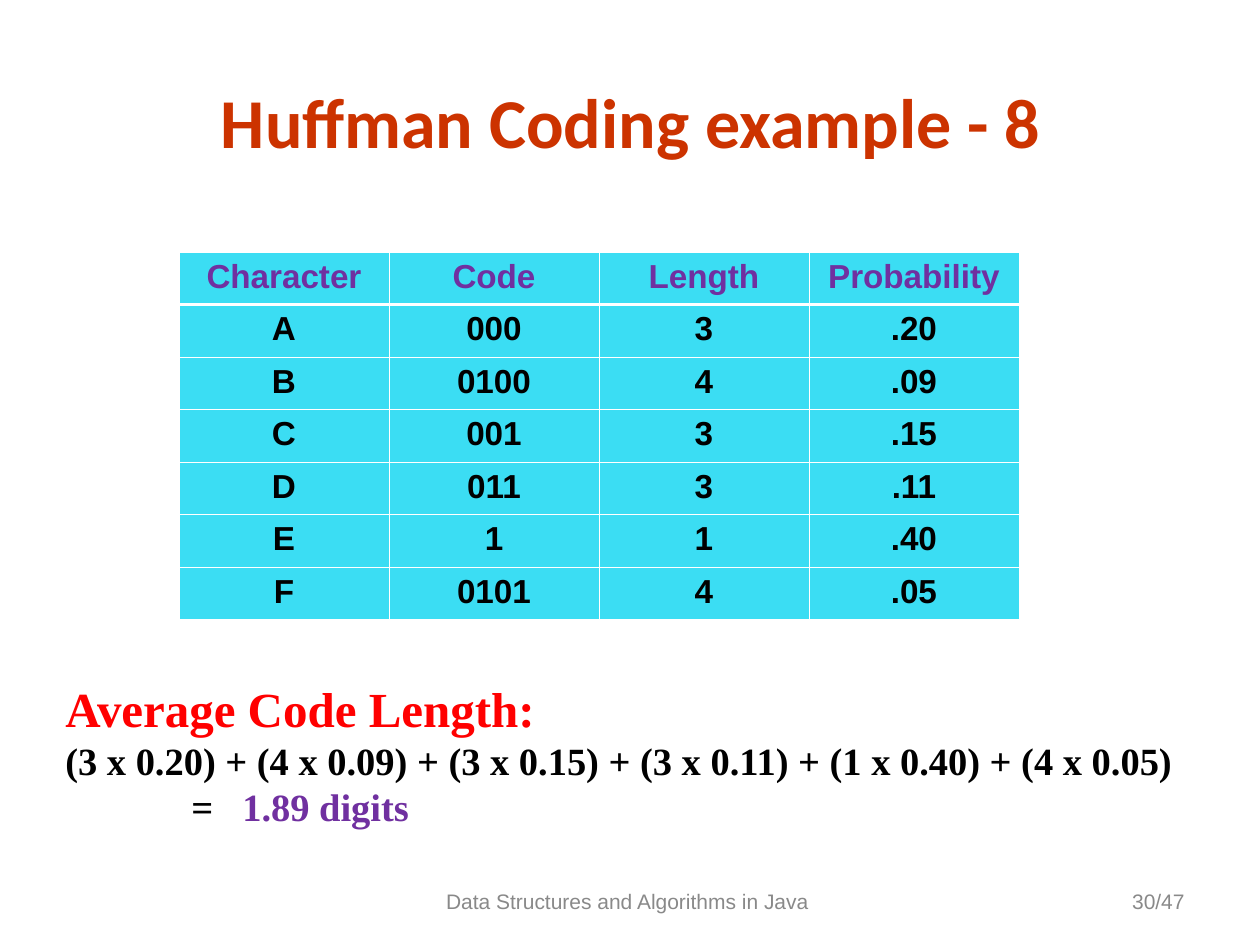
from pptx import Presentation
from pptx.dml.color import RGBColor as Rgb
from pptx.enum.text import MSO_ANCHOR as Anchor, PP_ALIGN as Align
from pptx.oxml import parse_xml
from pptx.oxml.ns import nsdecls
from pptx.util import Pt

SCALE = 914400 // 126
HUES = {
    "title": "CC3300", "head": "7030A0", "body": "000000", "cell": "3BDDF3",
    "edge": "FFFFFF", "alert": "FF0000", "foot": "898989",
}


def px(*sizes):
    return [size * SCALE for size in sizes]


class Deck:
    sans, serif, display = "Arial", "Times New Roman", "Calibri"

    def __init__(self, wide, high):
        self.prs = Presentation()
        self.prs.slide_width, self.prs.slide_height = px(wide, high)
        self.slide = self.prs.slides.add_slide(self.prs.slide_layouts[5])

    def style(self, para, face, size, hue, bold=True, align=Align.LEFT):
        para.alignment = align
        font = para.font
        font.name, font.size, font.bold = face, Pt(size), bold
        font.color.rgb = Rgb.from_string(HUES[hue])

    def title(self, text, *box):
        shape = self.slide.shapes.title
        shape.left, shape.top, shape.width, shape.height = px(*box)
        frame = shape.text_frame
        frame.text = text
        frame.vertical_anchor = Anchor.MIDDLE
        self.style(frame.paragraphs[0], self.display, 40, "title",
                   align=Align.CENTER)

    def box(self, *box, anchor=Anchor.TOP):
        frame = self.slide.shapes.add_textbox(*px(*box)).text_frame
        frame.word_wrap = True
        frame.vertical_anchor = anchor
        return frame

    def foot(self, text, align, *box):
        frame = self.box(*box, anchor=Anchor.MIDDLE)
        frame.text = text
        self.style(frame.paragraphs[0], self.sans, 12, "foot", False, align)

    def edge(self, cell, thick):
        props = cell._tc.get_or_add_tcPr()
        for spot, side in enumerate("LRTB"):
            props.insert(spot, parse_xml(
                f'<a:ln{side} {nsdecls("a")} w="{Pt(thick.get(side, 0.45))}">'
                f'<a:solidFill><a:srgbClr val="{HUES["edge"]}"/></a:solidFill>'
                f'</a:ln{side}>'))

    def table(self, rows, *box):
        grid = self.slide.shapes.add_table(
            len(rows), len(rows[0]), *px(*box)).table
        for y, row in enumerate(rows):
            thick = {0: {"B": 1.47}, 1: {"T": 1.47}}.get(y, {})
            for x, text in enumerate(row):
                cell = grid.cell(y, x)
                cell.text = text
                cell.fill.solid()
                cell.fill.fore_color.rgb = Rgb.from_string(HUES["cell"])
                self.edge(cell, thick)
                self.style(cell.text_frame.paragraphs[0], self.sans, 19,
                           "body" if y else "head", align=Align.CENTER)

    def tabs(self, para, *stops):
        marks = "".join(f'<a:tab pos="{pos}" algn="l"/>' for pos in px(*stops))
        para._p.get_or_add_pPr().insert(0, parse_xml(
            f'<a:tabLst {nsdecls("a")}>{marks}</a:tabLst>'))

    def result(self, head, sum_text, total, *box):
        frame = self.box(*box)
        frame.text = "\n".join([head, sum_text, "\t=\t"])
        first, *rest = frame.paragraphs
        self.style(first, self.serif, 28, "alert")
        for para in rest:
            self.style(para, self.serif, 22, "body")
        last = rest[-1]
        self.tabs(last, 126, 177)
        run = last.add_run()
        run.text = total
        run.font.color.rgb = Rgb.from_string(HUES["head"])


CODES = [
    ("Character", "Code", "Length", "Probability"),
    ("A", "000", "3", ".20"),
    ("B", "0100", "4", ".09"),
    ("C", "001", "3", ".15"),
    ("D", "011", "3", ".11"),
    ("E", "1", "1", ".40"),
    ("F", "0101", "4", ".05"),
]

deck = Deck(1260, 945)
deck.title("Huffman Coding example - 8", 95, 72, 1071, 97)
deck.table(CODES, 179, 252, 840, 368)
terms = [f"({size} x 0{odds})" for _, _, size, odds in CODES[1:]]
deck.result("Average Code Length:", " + ".join(terms), "1.89 digits",
            53, 672, 1176, 164)
deck.foot("Data Structures and Algorithms in Java", Align.CENTER,
          428, 876, 399, 50)
deck.foot("30/47", Align.RIGHT, 903, 876, 294, 50)
deck.prs.save("out.pptx")
